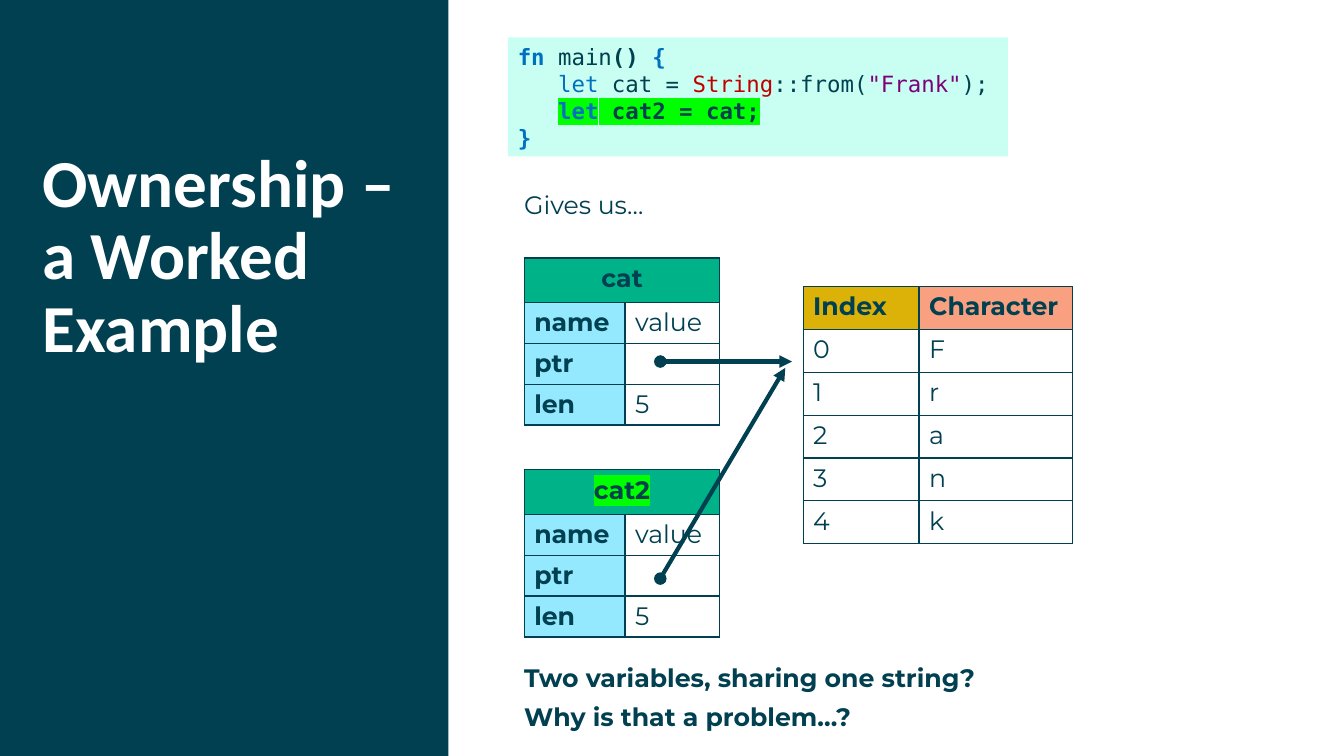
from dataclasses import dataclass
from typing import Optional

from lxml.etree import SubElement
from pptx import Presentation
from pptx.dml.color import RGBColor
from pptx.enum.shapes import MSO_CONNECTOR as Connector, MSO_SHAPE as Shape
from pptx.enum.text import MSO_ANCHOR as Anchor, PP_ALIGN as Align
from pptx.oxml import parse_xml
from pptx.oxml.ns import nsdecls, qn
from pptx.util import Cm, Pt

NAVY = RGBColor(0x00, 0x40, 0x50)
WHITE = RGBColor(0xFF, 0xFF, 0xFF)
GREEN = RGBColor(0x00, 0xB2, 0x88)
SKY = RGBColor(0x94, 0xE9, 0xFF)
GOLD = RGBColor(0xDC, 0xB2, 0x08)
SALMON = RGBColor(0xF8, 0xA0, 0x80)
MINT = RGBColor(0xC8, 0xFF, 0xF2)
LIME = RGBColor(0x00, 0xFF, 0x00)
BLUE = RGBColor(0x00, 0x70, 0xC0)
RED = RGBColor(0xC0, 0x00, 0x00)
PURPLE = RGBColor(0x7F, 0x00, 0x7D)

TITLE = {"name": "Calibri", "size": Pt(48), "bold": True}
BODY = {"name": "Montserrat", "size": Pt(18), "bold": False}
STRONG = BODY | {"bold": True}
CODE = {"name": "DejaVu Sans Mono", "size": Pt(16)}


@dataclass
class Piece:
    text: str
    color: RGBColor = NAVY
    bold: bool = False
    highlight: Optional[RGBColor] = None


@dataclass
class Cell:
    text: str
    fill: RGBColor = WHITE
    bold: bool = False
    highlight: Optional[RGBColor] = None


@dataclass
class Grid:
    left: float
    top: float
    widths: list[float]
    heights: list[float]
    rows: list[list[Cell]]
    titled: bool = False


@dataclass
class Pointer:
    start: tuple[float, float]
    end: tuple[float, float]


CODE_LINES = [
    [Piece("fn", BLUE, True), Piece(" main"), Piece("() ", bold=True), Piece("{", BLUE, True)],
    [Piece("   "), Piece("let", BLUE), Piece(" cat = "), Piece("String", RED),
     Piece("::from("), Piece('"Frank"', PURPLE), Piece(");")],
    [Piece("   ", BLUE, True), Piece("let", BLUE, True, LIME), Piece(" cat2 = cat;", NAVY, True, LIME)],
    [Piece("}", BLUE, True)],
]


def variable_grid(name: str, top: float, highlight: Optional[RGBColor] = None) -> Grid:
    """Describe how a String variable is held on the stack."""
    fields = [("name", "value"), ("ptr", ""), ("len", "5")]
    rows = [[Cell(name, GREEN, True, highlight), Cell("", GREEN)]]
    rows += [[Cell(field, SKY, True), Cell(value)] for field, value in fields]
    return Grid(13.21, top, [2.54, 2.39], [1.12] + [1.03] * 3, rows, titled=True)


HEAP_GRID = Grid(
    20.24, 7.22, [2.92, 3.86], [1.08] * 6,
    [[Cell("Index", GOLD, True), Cell("Character", SALMON, True)]]
    + [[Cell(str(index)), Cell(letter)] for index, letter in enumerate("Frank")],
)
GRIDS = [variable_grid("cat", 6.5), HEAP_GRID, variable_grid("cat2", 11.84, LIME)]
POINTERS = [Pointer((16.64, 9.11), (19.96, 9.11)), Pointer((16.64, 14.58), (19.79, 9.27))]


def add_run(paragraph, text: str, style: dict, color: RGBColor, highlight: Optional[RGBColor] = None) -> None:
    run = paragraph.add_run()
    run.text = text
    for attribute, value in style.items():
        setattr(run.font, attribute, value)
    run.font.color.rgb = color
    if highlight is not None:
        mark = parse_xml(f'<a:highlight {nsdecls("a")}><a:srgbClr val="{highlight}"/></a:highlight>')
        run.font.fill._xPr.find(qn("a:solidFill")).addnext(mark)


def add_rectangle(slide, left: float, top: float, width: float, height: float, color: RGBColor):
    shape = slide.shapes.add_shape(Shape.RECTANGLE, Cm(left), Cm(top), Cm(width), Cm(height))
    shape.shadow.inherit = False
    shape.fill.solid()
    shape.fill.fore_color.rgb = color
    shape.line.fill.background()
    return shape


def add_text(slide, box: tuple[float, float, float, float], lines: list[str], style: dict,
             color: RGBColor, spacing: dict) -> None:
    frame = slide.shapes.add_textbox(*map(Cm, box)).text_frame
    frame.word_wrap = True
    for side in ("left", "top", "right", "bottom"):
        setattr(frame, f"margin_{side}", 0)
    for number, line in enumerate(lines):
        paragraph = frame.add_paragraph() if number else frame.paragraphs[0]
        for attribute, value in spacing.items():
            setattr(paragraph, attribute, value)
        add_run(paragraph, line, style, color)


def add_code(slide) -> None:
    shape = add_rectangle(slide, 12.8, 0.94, 12.6, 3, MINT)
    frame = shape.text_frame
    frame.word_wrap = True
    frame.vertical_anchor = Anchor.MIDDLE
    for number, pieces in enumerate(CODE_LINES):
        paragraph = frame.add_paragraph() if number else frame.paragraphs[0]
        paragraph.alignment = Align.LEFT
        for piece in pieces:
            add_run(paragraph, piece.text, CODE | {"bold": piece.bold}, piece.color, piece.highlight)


def add_borders(cell) -> None:
    properties = cell._tc.get_or_add_tcPr()
    for position, side in enumerate("LRTB"):
        properties.insert(position, parse_xml(
            f'<a:ln{side} {nsdecls("a")} w="{Pt(1)}"><a:solidFill>'
            f'<a:srgbClr val="{NAVY}"/></a:solidFill></a:ln{side}>'))


def add_grid(slide, grid: Grid) -> None:
    table = slide.shapes.add_table(
        len(grid.heights), len(grid.widths), Cm(grid.left), Cm(grid.top),
        Cm(sum(grid.widths)), Cm(sum(grid.heights))).table
    table.first_row = table.horz_banding = False
    for column, width in zip(table.columns, grid.widths):
        column.width = Cm(width)
    for row, height in zip(table.rows, grid.heights):
        row.height = Cm(height)
    for row, contents in zip(table.rows, grid.rows):
        for cell, content in zip(row.cells, contents):
            cell.fill.solid()
            cell.fill.fore_color.rgb = content.fill
            add_borders(cell)
            if content.text:
                add_run(cell.text_frame.paragraphs[0], content.text,
                        BODY | {"bold": content.bold}, NAVY, content.highlight)
    if grid.titled:
        table.cell(0, 0).merge(table.cell(0, 1))
        table.cell(0, 0).text_frame.paragraphs[0].alignment = Align.CENTER


def add_pointer(slide, pointer: Pointer) -> None:
    connector = slide.shapes.add_connector(
        Connector.STRAIGHT, *map(Cm, pointer.start), *map(Cm, pointer.end))
    connector.line.color.rgb = NAVY
    connector.line.width = Pt(3)
    line = connector.line._get_or_add_ln()
    SubElement(line, qn("a:headEnd"), type="oval")
    SubElement(line, qn("a:tailEnd"), type="triangle")
    SubElement(connector._element.spPr, qn("a:effectLst"))


def main() -> None:
    presentation = Presentation()
    presentation.slide_width, presentation.slide_height = Cm(33.87), Cm(19.05)
    slide = presentation.slides.add_slide(presentation.slide_layouts[6])

    add_rectangle(slide, 0, 0, 11.3, 19.05, NAVY)
    add_text(slide, (1.07, 3.76, 9.58, 7.65), ["Ownership – a Worked Example"],
             TITLE, WHITE, {"line_spacing": 0.9})
    add_text(slide, (13.21, 4.78, 19.43, 0.8), ["Gives us…"], BODY, NAVY, {})
    add_text(slide, (13.21, 16.69, 19.43, 1.8),
             ["Two variables, sharing one string?", "Why is that a problem…?"],
             STRONG, NAVY, {"space_after": Pt(6.5)})
    add_code(slide)
    for grid in GRIDS:
        add_grid(slide, grid)
    for pointer in POINTERS:
        add_pointer(slide, pointer)

    presentation.save("out.pptx")


if __name__ == "__main__":
    main()
